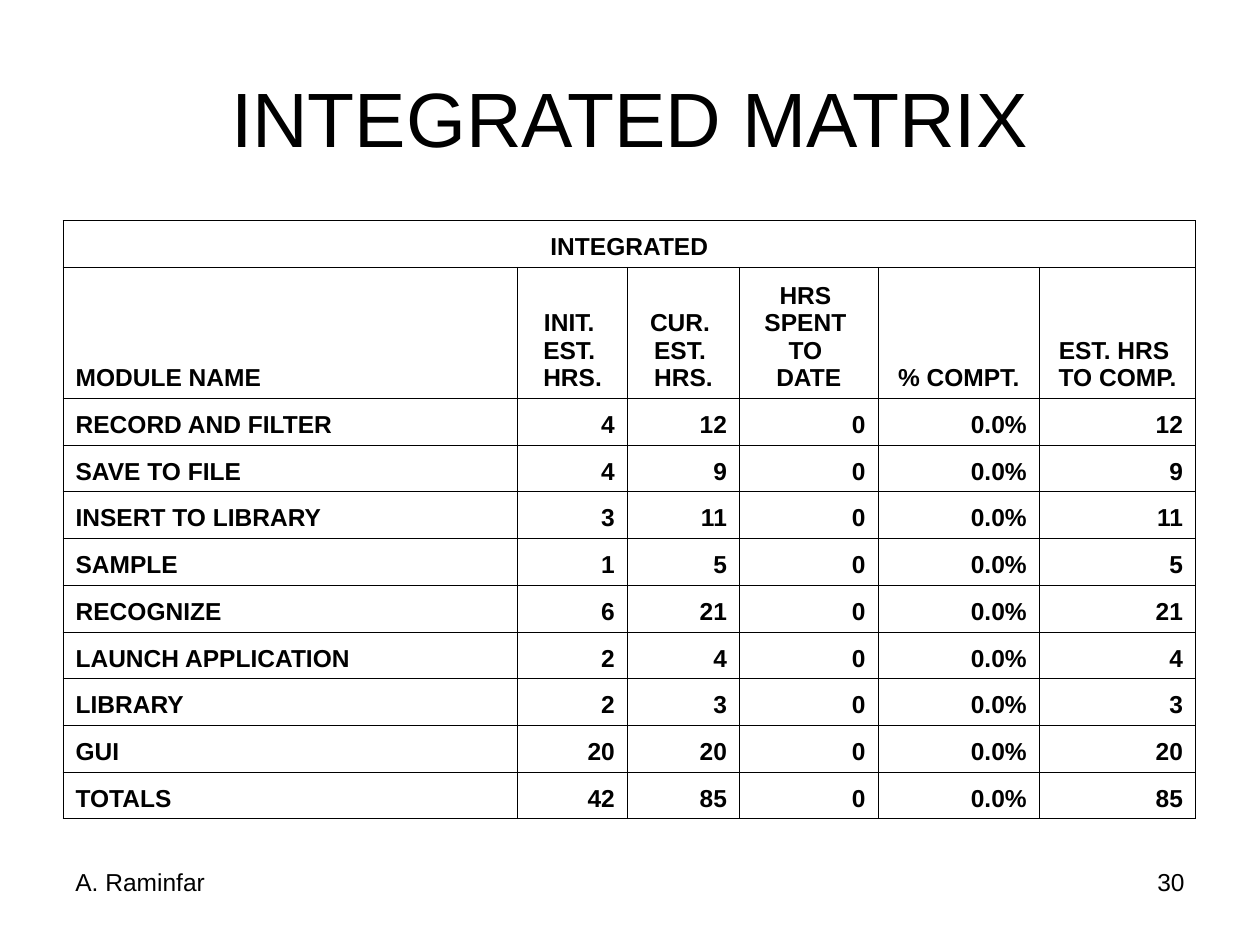
import pptx
import pptx.util
import pptx.dml.color
import pptx.enum.text
import pptx.oxml.ns
from lxml import etree

Inches = pptx.util.Inches
ALIGN = pptx.enum.text.PP_ALIGN
ANCHOR = pptx.enum.text.MSO_ANCHOR

FONT = "Arial"
BLACK = "000000"
WHITE = "FFFFFF"

TITLE = "INTEGRATED MATRIX"
AUTHOR = "A. Raminfar"
PAGE_NUMBER = "30"
TABLE_HEADING = "INTEGRATED"
COLUMNS = [
    ("MODULE NAME", 3.61),
    ("INIT. \nEST. \nHRS.", 0.87),
    ("CUR. \nEST. \nHRS.", 0.89),
    ("HRS \nSPENT \nTO \nDATE", 1.1),
    ("% COMPT.", 1.28),
    ("EST. HRS \nTO COMP.", 1.24),
]
MODULES = [
    ("RECORD AND FILTER", "4", "12", "0", "0.0%", "12"),
    ("SAVE TO FILE", "4", "9", "0", "0.0%", "9"),
    ("INSERT TO LIBRARY", "3", "11", "0", "0.0%", "11"),
    ("SAMPLE", "1", "5", "0", "0.0%", "5"),
    ("RECOGNIZE", "6", "21", "0", "0.0%", "21"),
    ("LAUNCH APPLICATION", "2", "4", "0", "0.0%", "4"),
    ("LIBRARY", "2", "3", "0", "0.0%", "3"),
    ("GUI", "20", "20", "0", "0.0%", "20"),
    ("TOTALS", "42", "85", "0", "0.0%", "85"),
]
TABLE_HEIGHT = 4.75
HEADER_HEIGHT = 1.04
BORDER_WIDTH = 0.45
INDENT = 0.38


def color(value):
    return pptx.dml.color.RGBColor.from_string(value)


def style_paragraph(paragraph, size, align, bold=False):
    paragraph.alignment = align
    paragraph.font.name = FONT
    paragraph.font.size = pptx.util.Pt(size)
    paragraph.font.bold = bold
    paragraph.font.color.rgb = color(BLACK)


def add_text(slide, text, box, size, align, anchor=ANCHOR.TOP):
    frame = slide.shapes.add_textbox(*[Inches(length) for length in box]).text_frame
    frame.word_wrap = True
    frame.vertical_anchor = anchor
    frame.text = text
    style_paragraph(frame.paragraphs[0], size, align)


def add_borders(cell):
    properties = cell._tc.get_or_add_tcPr()
    qn = pptx.oxml.ns.qn
    for position, side in enumerate(("lnL", "lnR", "lnT", "lnB")):
        line = etree.Element(qn(f"a:{side}"), w=str(int(pptx.util.Pt(BORDER_WIDTH))))
        fill = etree.SubElement(line, qn("a:solidFill"))
        etree.SubElement(fill, qn("a:srgbClr"), val=BLACK)
        properties.insert(position, line)


def fill_cell(cell, text, align):
    cell.fill.solid()
    cell.fill.fore_color.rgb = color(WHITE)
    cell.vertical_anchor = ANCHOR.BOTTOM
    cell.text = text
    for paragraph in cell.text_frame.paragraphs:
        properties = paragraph._p.get_or_add_pPr()
        properties.set("marL", str(int(Inches(INDENT))))
        properties.set("indent", str(int(Inches(-INDENT))))
        style_paragraph(paragraph, 14, align, bold=True)
    add_borders(cell)


def add_matrix(slide):
    headers = [name for name, width in COLUMNS]
    rows = [[TABLE_HEADING] + [""] * (len(COLUMNS) - 1), headers, *MODULES]
    table = slide.shapes.add_table(
        len(rows), len(COLUMNS), Inches(0.5), Inches(1.75), Inches(9), Inches(TABLE_HEIGHT)
    ).table
    table.first_row = False
    table.horz_banding = False
    for column, (name, width) in zip(table.columns, COLUMNS):
        column.width = Inches(width)
    row_height = (TABLE_HEIGHT - HEADER_HEIGHT) / (len(rows) - 1)
    for row_index, texts in enumerate(rows):
        table.rows[row_index].height = Inches(HEADER_HEIGHT if row_index == 1 else row_height)
        for column_index, text in enumerate(texts):
            if row_index == 0:
                align = ALIGN.CENTER
            elif column_index == 0:
                align = ALIGN.LEFT
            else:
                align = ALIGN.CENTER if row_index == 1 else ALIGN.RIGHT
            fill_cell(table.cell(row_index, column_index), text, align)
    table.cell(0, 0).merge(table.cell(0, len(COLUMNS) - 1))


def main():
    presentation = pptx.Presentation()
    presentation.slide_width = Inches(10)
    presentation.slide_height = Inches(7.5)
    slide = presentation.slides.add_slide(presentation.slide_layouts[6])
    add_text(slide, TITLE, (0.5, 0.3, 9, 1.25), 44, ALIGN.CENTER, ANCHOR.MIDDLE)
    add_matrix(slide)
    add_text(slide, PAGE_NUMBER, (7.17, 6.83, 2.33, 0.52), 14, ALIGN.RIGHT)
    add_text(slide, AUTHOR, (0.5, 6.83, 2.33, 0.52), 14, ALIGN.LEFT)
    presentation.save("out.pptx")


if __name__ == "__main__":
    main()
